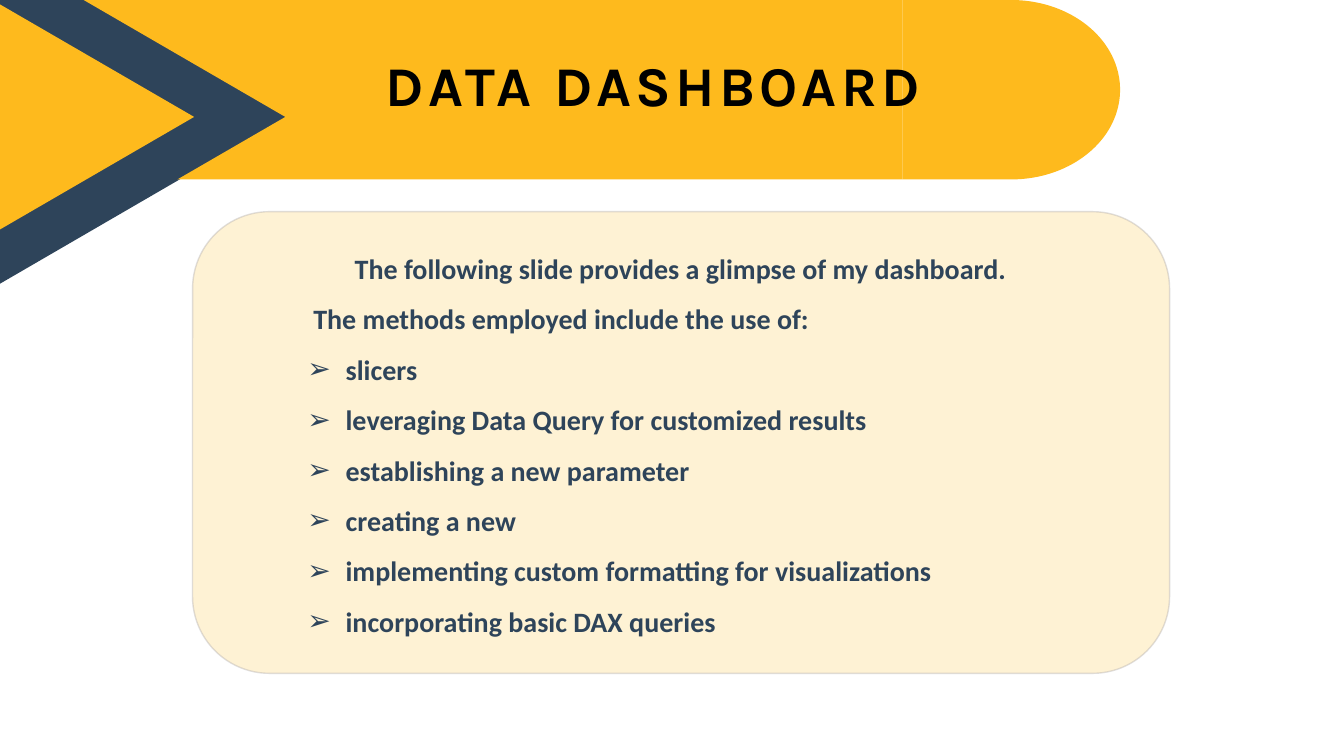
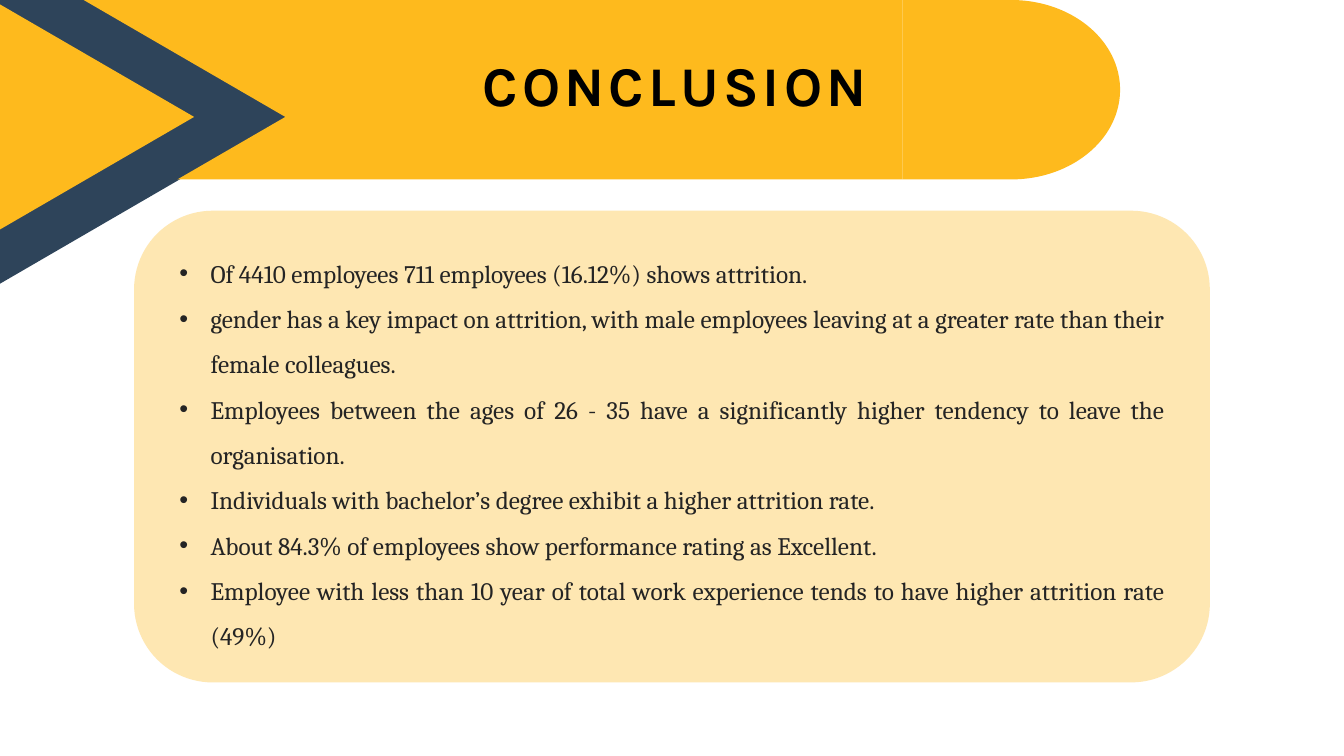
from dataclasses import dataclass
from typing import Optional

from lxml import etree
from pptx import Presentation
from pptx import util as u
from pptx.dml.color import RGBColor
from pptx.enum import shapes, text
from pptx.oxml import ns

AMBER = "FEBA1D"
NAVY = "2E445A"
BLACK = "000000"
CHARCOAL = "242424"
GRAY = "AFABAB"

LEFT = text.PP_ALIGN.LEFT
CENTER = text.PP_ALIGN.CENTER
JUSTIFY = text.PP_ALIGN.JUSTIFY


@dataclass(frozen=True)
class Box:
    left: float
    top: float
    width: float
    height: float

    def emu(self) -> tuple:
        return tuple(u.Inches(v) for v in (self.left, self.top, self.width, self.height))


@dataclass(frozen=True)
class TextStyle:
    font: str
    size: float
    color: str
    bold: bool = False
    spacing: float = 0


@dataclass(frozen=True)
class Line:
    words: str
    align: text.PP_ALIGN = LEFT
    bullet: str = ""
    indent: float = 0


@dataclass(frozen=True)
class Card:
    box: Box
    color: str
    opacity: int
    outline: Optional[str] = None


@dataclass(frozen=True)
class Page:
    title: str
    title_box: Box
    card: Card
    body_box: Box
    body_style: TextStyle
    lines: list


TITLE = TextStyle("Karla", 40, BLACK, bold=True, spacing=3)
METHODS = TextStyle("Calibri", 20, NAVY, bold=True)
FINDINGS = TextStyle("Cambria", 18, CHARCOAL)

PAGES = [
    Page(
        "DATA DASHBOARD",
        Box(3.73, 0.45, 6.12, 0.77),
        Card(Box(1.91, 2.1, 9.69, 4.58), AMBER, 19, GRAY),
        Box(2.95, 2.28, 7.6, 4.09),
        METHODS,
        [
            Line("The following slide provides a glimpse of my dashboard.", CENTER),
            Line("The methods employed include the use of:", indent=0.06),
        ] + [
            Line(method, bullet="➢", indent=0.38)
            for method in (
                "slicers",
                "leveraging Data Query for customized results",
                "establishing a new parameter",
                "creating a new",
                "implementing custom formatting for visualizations",
                "incorporating basic DAX queries",
            )
        ],
    ),
    Page(
        "CONCLUSION",
        Box(4.69, 0.45, 4.46, 0.77),
        Card(Box(1.33, 2.09, 10.67, 4.68), "FEBA1E", 34),
        Box(1.68, 2.36, 9.97, 4.14),
        FINDINGS,
        [
            Line(finding, JUSTIFY, "•", 0.31)
            for finding in (
                "Of 4410 employees 711 employees (16.12%) shows attrition.",
                "gender has a key impact on attrition, with male employees leaving "
                "at a greater rate than their female colleagues.",
                "Employees between the ages of 26 - 35 have a significantly higher "
                "tendency to leave the organisation.",
                "Individuals with bachelor’s degree exhibit a higher attrition rate.",
                "About 84.3% of employees show performance rating as Excellent.",
                "Employee with less than 10 year of total work experience tends to "
                "have higher attrition rate (49%)",
            )
        ],
    ),
]


def paint(fill, color: str, opacity: int = 100) -> None:
    """Make a fill solid, with an opacity in percent."""
    fill.solid()
    fill.fore_color.rgb = RGBColor.from_string(color)
    if opacity < 100:
        tint = fill._xPr.find(".//" + ns.qn("a:srgbClr"))
        etree.SubElement(tint, ns.qn("a:alpha")).set("val", str(opacity * 1000))


def finish(shape, color: str, opacity: int = 100) -> None:
    """Give a shape a flat fill without outline or shadow."""
    shape.shadow.inherit = False
    paint(shape.fill, color, opacity)
    shape.line.fill.background()


def add_flat(parent, kind, box: Box, color: str, opacity: int = 100):
    shape = parent.add_shape(kind, *box.emu())
    finish(shape, color, opacity)
    return shape


def add_banner(slide) -> None:
    banner = slide.shapes.add_group_shape().shapes
    for box, color in (
        (Box(-0.24, -0.27, 3.32, 2.86), NAVY),
        (Box(-0.17, 0.19, 2.25, 1.94), AMBER),
    ):
        arrow = add_flat(banner, shapes.MSO_SHAPE.ISOSCELES_TRIANGLE, box, color)
        arrow.rotation = 90
    corners = [
        (u.Inches(x), u.Inches(y))
        for x, y in ((0.83, 0), (8.95, 0), (8.95, 1.78), (1.76, 1.78), (2.83, 1.16))
    ]
    outline = banner.build_freeform(*corners[0])
    outline.add_line_segments(corners[1:], close=True)
    finish(outline.convert_to_shape(), AMBER)
    add_flat(banner, shapes.MSO_SHAPE.FLOWCHART_DELAY, Box(8.95, 0, 2.16, 1.78), AMBER)


def add_card(slide, card: Card) -> None:
    panel = add_flat(slide.shapes, shapes.MSO_SHAPE.ROUNDED_RECTANGLE,
                     card.box, card.color, card.opacity)
    if card.outline:
        panel.line.width = u.Pt(1)
        paint(panel.line.fill, card.outline, 38)


def set_indent(paragraph, line: Line) -> None:
    """Indent a paragraph, hanging its bullet if it has one."""
    props = paragraph._p.get_or_add_pPr()
    props.set("marL", str(u.Inches(line.indent)))
    if line.bullet:
        props.set("indent", str(-u.Inches(line.indent)))
        etree.SubElement(props, ns.qn("a:buFont")).set("typeface", "Arial")
        etree.SubElement(props, ns.qn("a:buChar")).set("char", line.bullet)


def add_text(slide, box: Box, lines: list, style: TextStyle,
             wrap: bool = True, line_spacing: float = 1.0) -> None:
    frame = slide.shapes.add_textbox(*box.emu()).text_frame
    frame.word_wrap = wrap
    frame.auto_size = text.MSO_AUTO_SIZE.SHAPE_TO_FIT_TEXT
    for number, line in enumerate(lines):
        paragraph = frame.add_paragraph() if number else frame.paragraphs[0]
        paragraph.alignment = line.align
        paragraph.line_spacing = line_spacing
        set_indent(paragraph, line)
        run = paragraph.add_run()
        run.text = line.words
        run.font.name = style.font
        run.font.size = u.Pt(style.size)
        run.font.bold = style.bold
        paint(run.font.fill, style.color)
        if style.spacing:
            run._r.get_or_add_rPr().set("spc", str(round(style.spacing * 100)))


def add_page(deck, page: Page) -> None:
    slide = deck.slides.add_slide(deck.slide_layouts[6])
    add_banner(slide)
    add_text(slide, page.title_box, [Line(page.title)], TITLE, wrap=False)
    add_card(slide, page.card)
    add_text(slide, page.body_box, page.lines, page.body_style, line_spacing=1.5)


def main() -> None:
    deck = Presentation()
    deck.slide_width = u.Inches(13.33)
    deck.slide_height = u.Inches(7.5)
    for page in PAGES:
        add_page(deck, page)
    deck.save("out.pptx")


if __name__ == "__main__":
    main()
